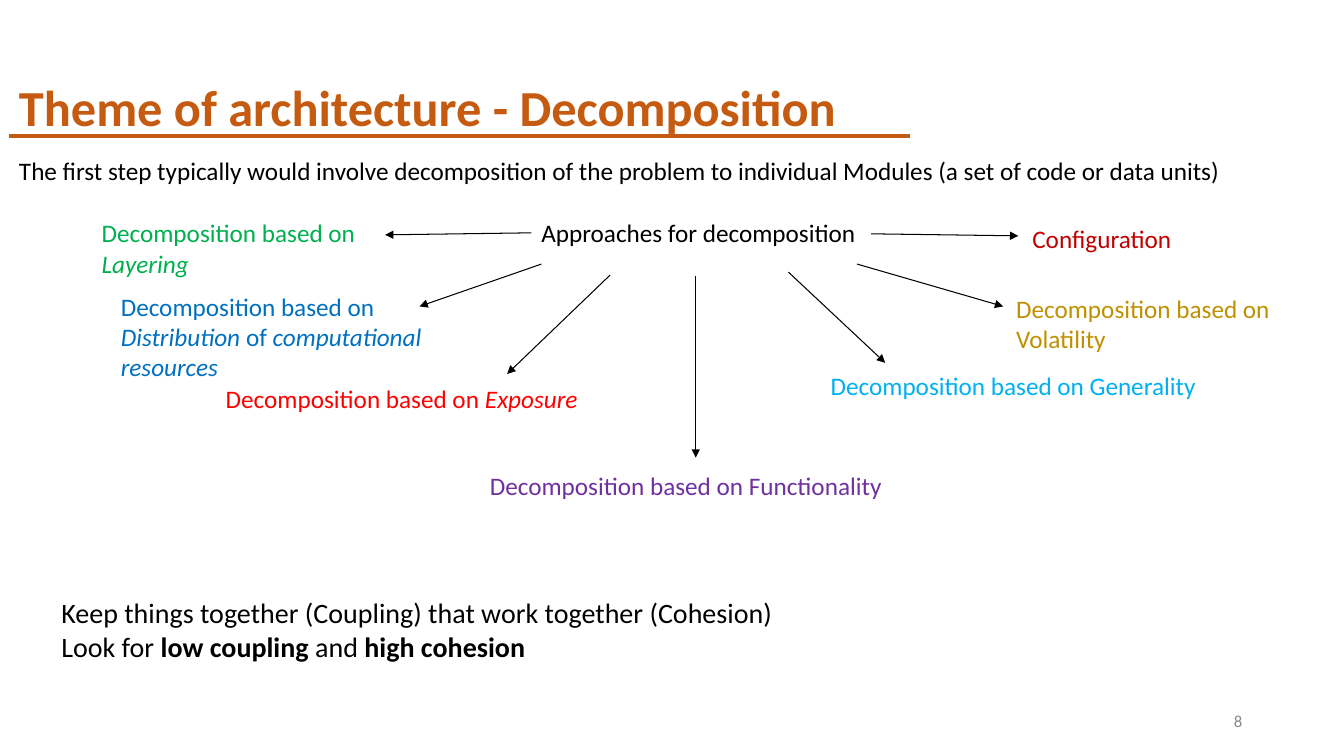
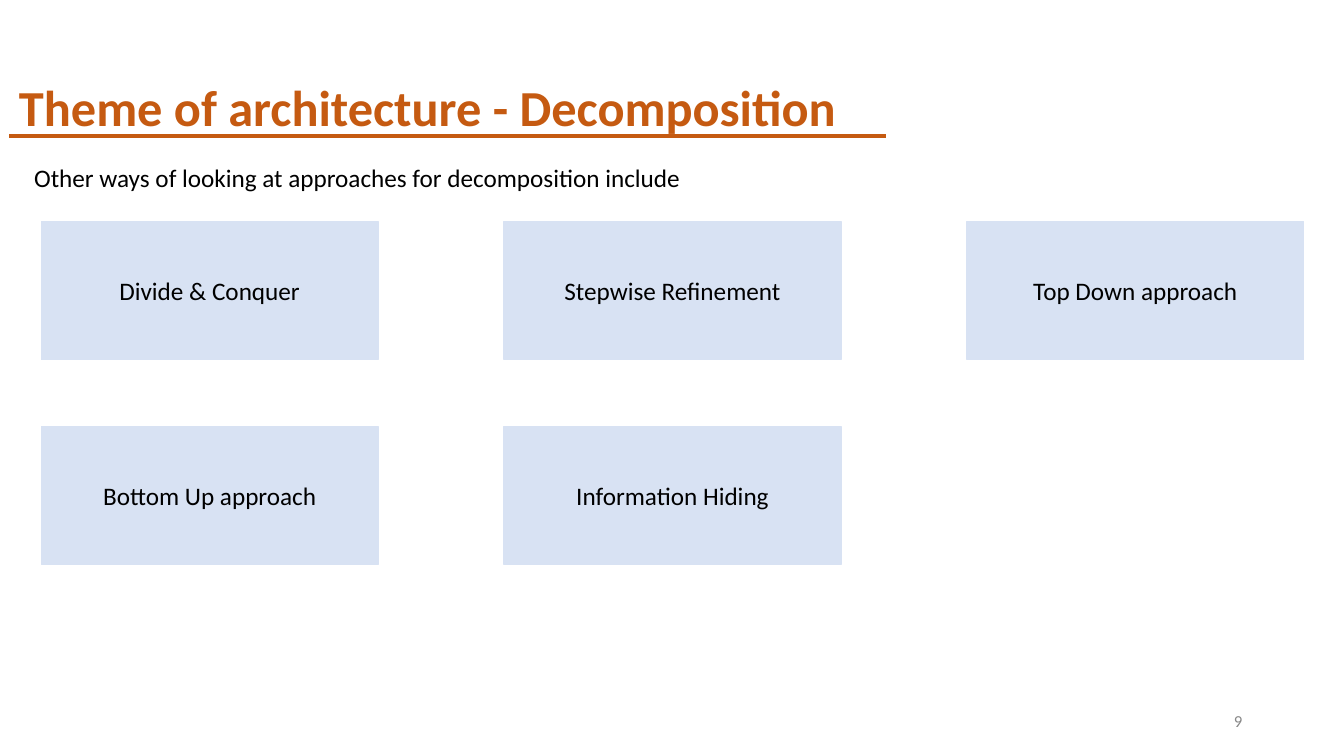
import dataclasses

import lxml.etree
import pptx
import pptx.dml.color
import pptx.enum.shapes
import pptx.enum.text
import pptx.oxml.ns
import pptx.util

Inches = pptx.util.Inches
Color = pptx.dml.color.RGBColor
ALIGN = pptx.enum.text.PP_ALIGN
ANCHOR = pptx.enum.text.MSO_ANCHOR

FONT = "Calibri"
ORANGE = Color(0xC5, 0x5A, 0x11)
BLACK = Color(0x00, 0x00, 0x00)
GREY = Color(0x88, 0x88, 0x88)
PALE_BLUE = Color(0xD8, 0xE2, 0xF3)
GREEN = Color(0x00, 0xB0, 0x50)
BLUE = Color(0x00, 0x70, 0xC0)
RED = Color(0xFF, 0x00, 0x00)
PURPLE = Color(0x70, 0x30, 0xA0)
SKY = Color(0x00, 0xB0, 0xF0)
GOLD = Color(0xBF, 0x90, 0x00)
DARK_RED = Color(0xC0, 0x00, 0x00)

TITLE = "Theme of architecture - Decomposition"
BOLD = {"bold": True}
ITALIC = {"italic": True}


@dataclasses.dataclass
class Box:
    """A rectangle in inches."""
    left: float
    top: float
    width: float
    height: float

    def inner(self, left, top, width, height):
        return Box(self.left + left, self.top + top, width, height)

    def point(self, across, down):
        return Inches(self.left + across), Inches(self.top + down)

    def lengths(self):
        return [Inches(n) for n in (self.left, self.top, self.width, self.height)]


# Shared parts

def write_text(shape, lines, size=18, color=BLACK, align=ALIGN.LEFT,
               anchor=ANCHOR.TOP, **style):
    """Each line is a list of (text, font values) pairs."""
    frame = shape.text_frame
    frame.word_wrap = True
    frame.vertical_anchor = anchor
    for number, line in enumerate(lines):
        para = frame.add_paragraph() if number else frame.paragraphs[0]
        para.alignment = align
        for text, extra in line:
            span = para.add_run()
            span.text = text
            span.font.color.rgb = color
            values = {"name": FONT, "size": pptx.util.Pt(size), **style, **extra}
            for name, value in values.items():
                setattr(span.font, name, value)


def add_text(page, box, lines, **style):
    shape = page.shapes.add_textbox(*box.lengths())
    write_text(shape, lines, **style)
    return shape


def add_line(page, start, end, color=BLACK, width=0.75, arrow=False):
    line = page.shapes.add_connector(
        pptx.enum.shapes.MSO_CONNECTOR.STRAIGHT, *start, *end)
    line.line.color.rgb = color
    line.line.width = pptx.util.Pt(width)
    properties = line._element.spPr
    qn = pptx.oxml.ns.qn
    if arrow:
        outline = properties.find(qn("a:ln"))
        lxml.etree.SubElement(outline, qn("a:tailEnd"), type="triangle")
    lxml.etree.SubElement(properties, qn("a:effectLst"))
    return line


def add_page(deck, number, rule_width):
    """Blank page with the title, its rule and the page number."""
    page = deck.slides.add_slide(deck.slide_layouts[6])
    header = Box(0.09, 0.71, rule_width, 0.5)
    add_text(page, header, [[(TITLE, BOLD)]], size=36, color=ORANGE)
    add_line(page, header.point(0, 0.64), header.point(rule_width, 0.64),
             color=ORANGE, width=3)
    add_text(page, Box(9.42, 6.95, 3, 0.4), [[(str(number), {})]], size=12,
             color=GREY, align=ALIGN.RIGHT, anchor=ANCHOR.MIDDLE)
    return page


# Approaches slide

BASED_ON = ("Decomposition based on ", {})

# Place in the map (left, top, width, height), colour, runs
APPROACHES = [
    ((0, 0, 3.25, 0.71), GREEN, [BASED_ON, ("Layering", ITALIC)]),
    ((0.19, 0.73, 3.94, 1.01), BLUE,
     [BASED_ON, ("Distribution", ITALIC), (" of ", {}),
      ("computational resources", ITALIC)]),
    ((1.23, 1.64, 3.72, 0.4), RED, [BASED_ON, ("Exposure", ITALIC)]),
    ((3.85, 2.51, 4.35, 0.4), PURPLE, [BASED_ON, ("Functionality", {})]),
    ((7.23, 1.51, 3.92, 0.4), SKY, [BASED_ON, ("Generality", {})]),
    ((9.07, 0.75, 2.95, 0.71), GOLD, [BASED_ON, ("Volatility", {})]),
    ((9.23, 0.06, 2.62, 0.4), DARK_RED, [("Configuration", {})]),
]

# Start and end of each arrow in the map
ARROW_TO_LAYERING = ((4.36, 0.2), (2.91, 0.22))
ARROWS = [
    ((7.73, 0.21), (9.19, 0.23)),
    ((4.46, 0.51), (3.25, 0.93)),
    ((7.59, 0.51), (9.04, 0.93)),
    ((5.14, 0.62), (4.12, 1.6)),
    ((6.91, 0.59), (7.87, 1.49)),
    ((5.99, 0.63), (5.99, 2.43)),
]


def draw_approach_map(page, box):
    center = add_text(page, box.inner(4.36, 0, 3.65, 0.4),
                      [[("Approaches for decomposition", {})]])
    start, end = ARROW_TO_LAYERING
    arrow = add_line(page, box.point(*start), box.point(*end), arrow=True)
    arrow.begin_connect(center, 1)
    for start, end in ARROWS:
        add_line(page, box.point(*start), box.point(*end), arrow=True)
    for place, color, runs in APPROACHES:
        add_text(page, box.inner(*place), [runs], color=color)


def build_approaches(deck):
    page = add_page(deck, 8, 8.94)
    add_text(page, Box(0.09, 1.49, 12.96, 0.4), [[(
        "The first step typically would involve decomposition of the problem "
        "to individual Modules (a set of code or data units)", {})]])
    draw_approach_map(page, Box(0.91, 2.11, 12.02, 2.91))
    add_text(page, Box(0.51, 5.86, 7.8, 0.77), [
        [("Keep things together (Coupling) that work together (Cohesion)", {})],
        [("Look for ", {}), ("low coupling ", BOLD), ("and ", {}),
         ("high cohesion", BOLD)],
    ], size=20)


# Other ways slide

WAYS = ["Divide & Conquer", "Stepwise Refinement", "Top Down approach",
        "Bottom Up approach", "Information Hiding"]


def draw_card_grid(page, box, labels, columns=3, rows=2):
    card_width, card_height = 3.34, 1.37
    step_across = (box.width - card_width) / (columns - 1)
    step_down = (box.height - card_height) / (rows - 1)
    for index, label in enumerate(labels):
        row, column = divmod(index, columns)
        place = box.inner(column * step_across, row * step_down,
                          card_width, card_height)
        card = page.shapes.add_shape(
            pptx.enum.shapes.MSO_SHAPE.RECTANGLE, *place.lengths())
        card.shadow.inherit = False
        card.fill.solid()
        card.fill.fore_color.rgb = PALE_BLUE
        card.line.color.rgb = PALE_BLUE
        card.line.width = pptx.util.Pt(1)
        write_text(card, [[(label, {})]], align=ALIGN.CENTER,
                   anchor=ANCHOR.MIDDLE)


def build_other_ways(deck):
    page = add_page(deck, 9, 8.7)
    add_text(page, Box(0.24, 1.56, 8.56, 0.4), [[(
        "Other ways of looking at approaches for decomposition include", {})]])
    draw_card_grid(page, Box(0.41, 2.2, 12.52, 3.4), WAYS)


def main():
    deck = pptx.Presentation()
    deck.slide_width = Inches(13.33)
    deck.slide_height = Inches(7.5)
    build_approaches(deck)
    build_other_ways(deck)
    deck.save("out.pptx")


if __name__ == "__main__":
    main()
